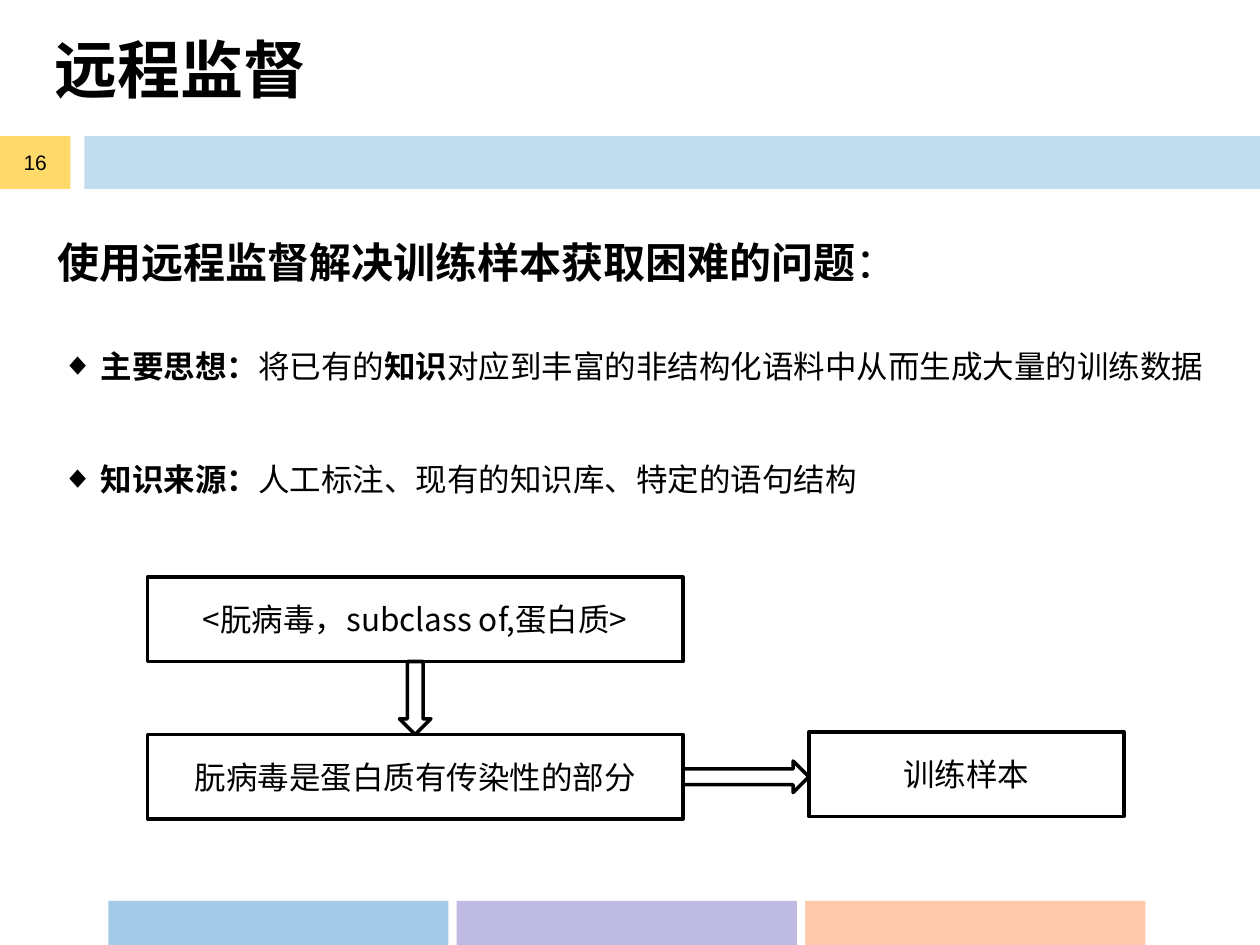
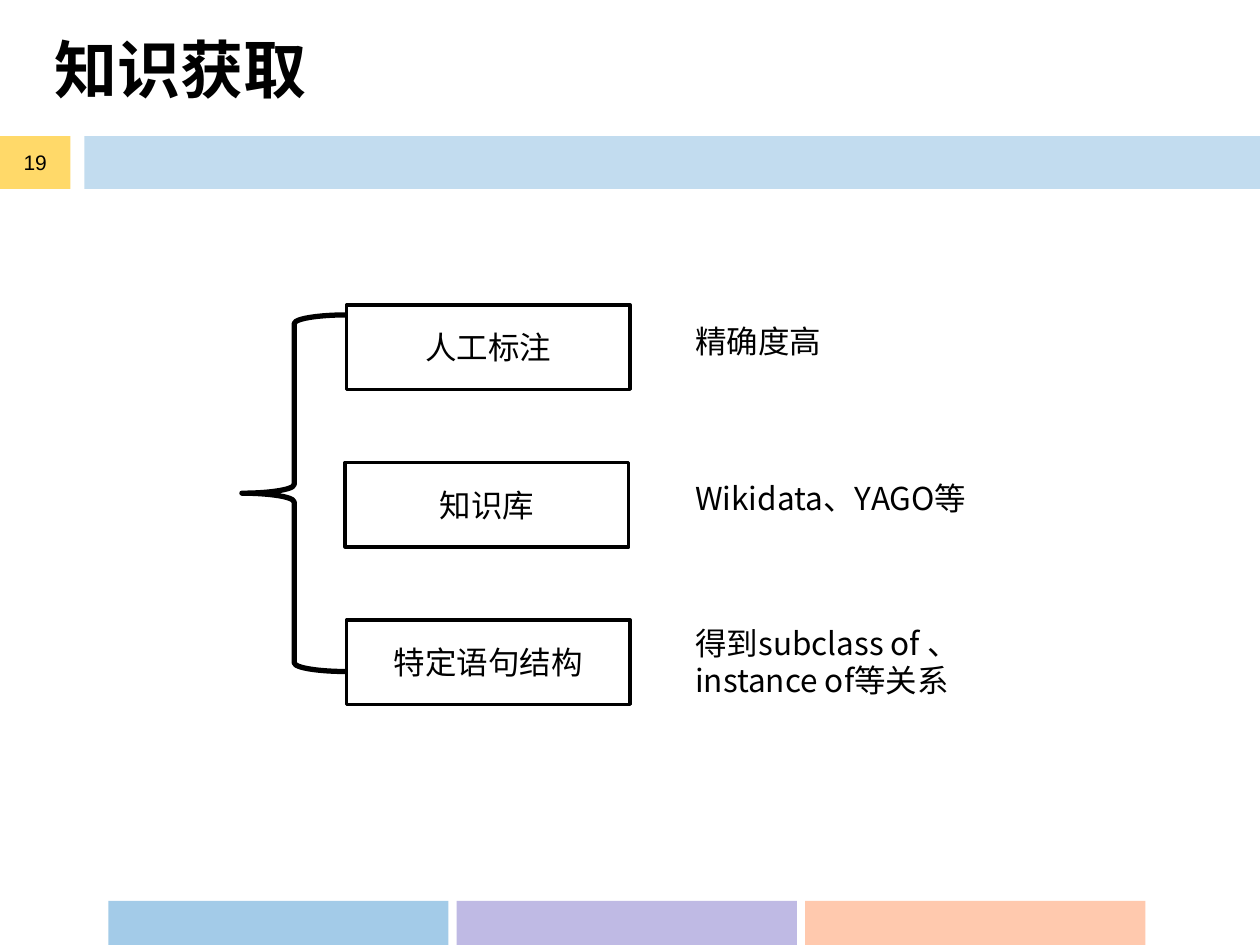
from lxml.etree import SubElement
from pptx import Presentation
from pptx.dml.color import RGBColor
from pptx.enum.shapes import MSO_SHAPE as Form
from pptx.enum.text import MSO_ANCHOR as Anchor, MSO_AUTO_SIZE as Fit, PP_ALIGN as Align
from pptx.oxml.ns import qn
from pptx.util import Inches, Pt

BLACK = RGBColor(0x00, 0x00, 0x00)
BLUE = RGBColor(0x00, 0x70, 0xC0)
LILAC = RGBColor(0xBF, 0xBA, 0xE4)
PEACH = RGBColor(0xFF, 0x99, 0x66)
GOLD = RGBColor(0xFF, 0xC0, 0x00)
SANS = "Noto Sans CJK SC"
ARIAL = "Arial"
SERIF = "Times New Roman"
HIGH = 0.67


def place(shape, left, top, width, height):
    shape.left, shape.top = Inches(left), Inches(top)
    shape.width, shape.height = Inches(width), Inches(height)


def set_bullet(para):
    props = para._p.get_or_add_pPr()
    props.set("marL", str(Inches(0.31)))
    props.set("indent", str(-Inches(0.31)))
    SubElement(props, qn("a:buFont")).set("typeface", ARIAL)
    SubElement(props, qn("a:buChar")).set("char", "◆")


def write(shape, *lines, size=18, font=SANS, align=Align.LEFT,
          anchor=Anchor.TOP, bullet=False, gap=0):
    """Fill a shape with lines; text between asterisks is bold."""
    frame = shape.text_frame
    frame.word_wrap = True
    frame.auto_size = Fit.NONE
    frame.vertical_anchor = anchor
    for i, line in enumerate(lines):
        para = frame.add_paragraph() if i else frame.paragraphs[0]
        if bullet:
            set_bullet(para)
        para.alignment = align
        para.space_before = Pt(gap if i else 0)
        for j, part in enumerate(line.split("*")):
            if not part:
                continue
            run = para.add_run()
            run.text = part
            run.font.size, run.font.name = Pt(size), font
            run.font.bold = j % 2 == 1
            run.font.color.rgb = BLACK
            SubElement(run._r.get_or_add_rPr(), qn("a:ea")).set("typeface", SANS)


def add_band(slide, left, top, width, height, color, alpha=100):
    band = slide.shapes.add_shape(Form.RECTANGLE, 0, 0, 0, 0)
    place(band, left, top, width, height)
    band.shadow.inherit = False
    band.line.fill.background()
    band.fill.solid()
    band.fill.fore_color.rgb = color
    if alpha < 100:
        tint = band.fill._xPr.find(qn("a:solidFill"))[0]
        SubElement(tint, qn("a:alpha")).set("val", str(alpha * 1000))
    return band


def add_form(slide, form, left, top, width, height, weight=2):
    shape = slide.shapes.add_shape(form, 0, 0, 0, 0)
    place(shape, left, top, width, height)
    shape.shadow.inherit = False
    shape.fill.background()
    shape.line.color.rgb = BLACK
    shape.line.width = Pt(weight)
    return shape


def add_box(slide, label, left, top, width):
    box = add_form(slide, Form.RECTANGLE, left, top, width, HIGH)
    write(box, label, align=Align.CENTER, anchor=Anchor.MIDDLE)


def add_note(slide, left, top, width, height, *lines, **style):
    note = slide.shapes.add_textbox(0, 0, 0, 0)
    place(note, left, top, width, height)
    write(note, *lines, **style)


def add_page(deck, layout, title, number):
    slide = deck.slides.add_slide(deck.slide_layouts[layout])
    for i, (color, alpha) in enumerate([(BLUE, 36), (LILAC, 100), (PEACH, 53)]):
        add_band(slide, 0.86 + i * 2.765, 7.15, 2.7, 0.36, color, alpha)
    add_band(slide, 0.67, 1.08, 9.33, 0.42, BLUE, 24)
    place(slide.shapes.title, 0.33, -0.08, 9.39, 1.25)
    write(slide.shapes.title, f"*{title}*", size=36, font=SERIF, anchor=Anchor.MIDDLE)
    badge = add_band(slide, 0, 1.08, 0.56, 0.42, GOLD, 59)
    write(badge, str(number), size=12, font=ARIAL, align=Align.CENTER, anchor=Anchor.MIDDLE)
    return slide


def add_method(deck):
    slide = add_page(deck, 1, "远程监督", 16)
    add_note(slide, 0.36, 1.83, 8.75, 0.81,
             "*使用远程监督解决训练样本获取困难的问题*：", size=24)
    body = slide.placeholders[1]
    place(body, 0.39, 2.7, 9.31, 1.62)
    write(body,
          "*主要思想：*将已有的*知识*对应到丰富的非结构化语料中从而生成大量的训练数据",
          "*知识来源：*人工标注、现有的知识库、特定的语句结构",
          font=ARIAL, bullet=True, gap=43)
    add_box(slide, "<朊病毒，subclass of,蛋白质>", 1.17, 4.58, 4.25)
    add_box(slide, "朊病毒是蛋白质有传染性的部分", 1.17, 5.83, 4.25)
    add_form(slide, Form.DOWN_ARROW, 3.17, 5.25, 0.25, 0.58)
    add_form(slide, Form.RIGHT_ARROW, 5.42, 6.04, 1, 0.25)
    add_box(slide, "训练样本", 6.42, 5.81, 2.5)


def add_sources(deck):
    slide = add_page(deck, 5, "知识获取", 19)
    for i, label in enumerate(["人工标注", "知识库", "特定语句结构"]):
        add_box(slide, label, 2.74 if i == 1 else 2.75, 2.42 + i * 1.25, 2.25)
    add_form(slide, Form.LEFT_BRACE, 1.92, 2.5, 0.83, 2.83, weight=3)
    add_note(slide, 5.42, 2.51, 2.83, 0.42, "精确度高")
    add_note(slide, 5.42, 3.75, 2.83, 0.42, "Wikidata、YAGO等")
    add_note(slide, 5.42, 4.9, 2.67, 0.71, "得到subclass of 、", "instance of等关系")


def main():
    deck = Presentation()
    deck.slide_width, deck.slide_height = Inches(10), Inches(7.5)
    add_method(deck)
    add_sources(deck)
    deck.save("out.pptx")


if __name__ == "__main__":
    main()
